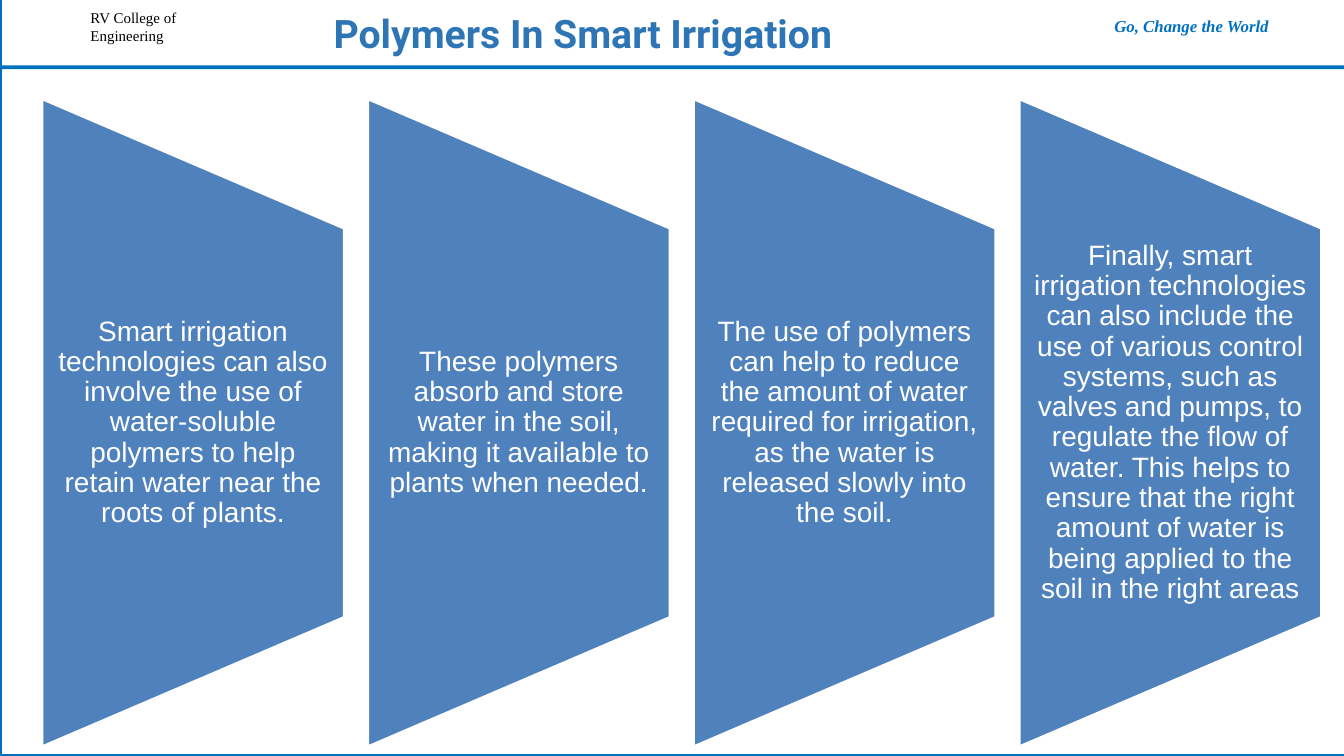
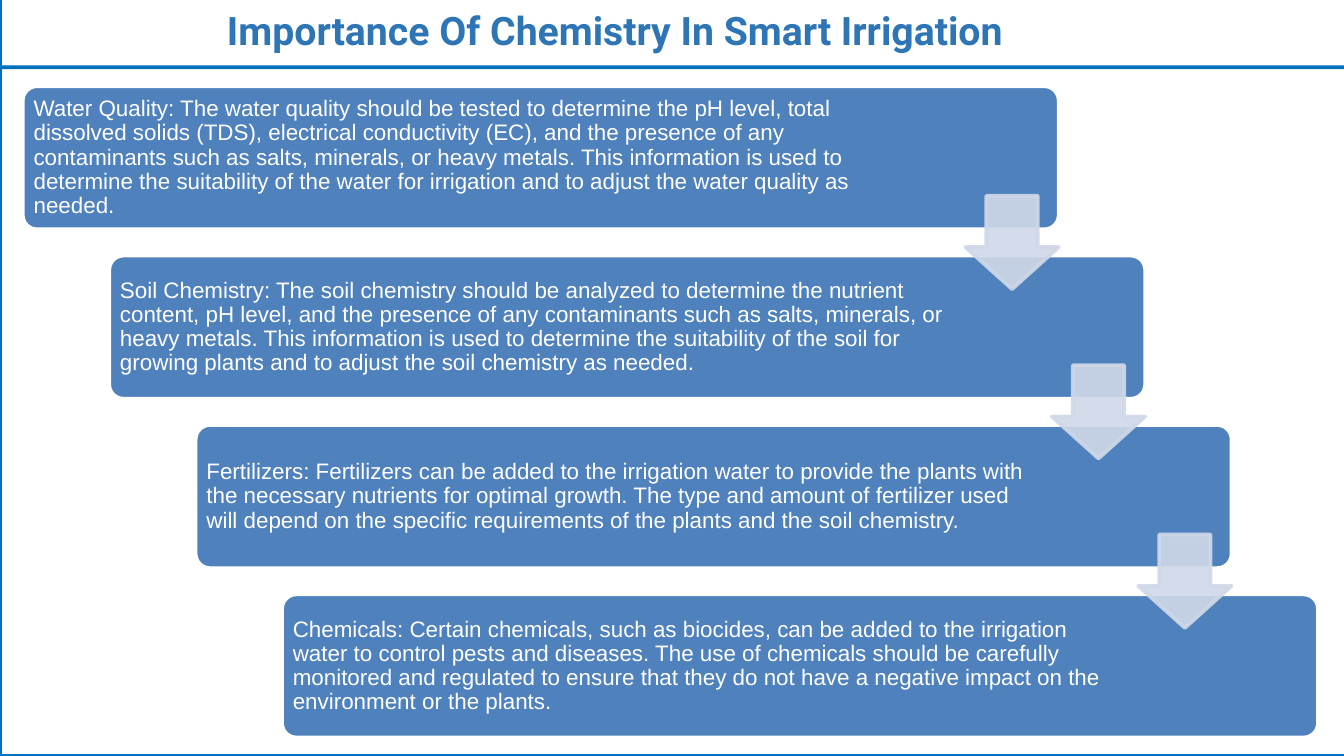
from dataclasses import dataclass

from lxml import etree
from pptx import Presentation
from pptx.dml.color import RGBColor
from pptx.enum import shapes, text
from pptx.oxml.ns import qn
from pptx.util import Pt

SHAPE = shapes.MSO_SHAPE
ANCHOR = text.MSO_ANCHOR
ALIGN = text.PP_ALIGN


@dataclass(frozen=True)
class Theme:
    width: float = 720
    height: float = 405
    frame: str = "0070C0"
    title: str = "2E75B5"
    block: str = "4F81BD"
    arrow: str = "D0D8E8"
    white: str = "FFFFFF"
    black: str = "000000"
    title_font: str = "Roboto"
    body_font: str = "Arial"
    header_font: str = "Times New Roman"
    title_size: float = 21
    panel_size: float = 15
    step_size: float = 12
    college_size: float = 8
    motto_size: float = 9
    line: float = 2


POLYMER_PANELS = [
    "Smart irrigation technologies can also involve the use of water-soluble "
    "polymers to help retain water near the roots of plants.",
    "These polymers absorb and store water in the soil, making it available to "
    "plants when needed.",
    "The use of polymers can help to reduce the amount of water required for "
    "irrigation, as the water is released slowly into the soil.",
    "Finally, smart irrigation technologies can also include the use of various "
    "control systems, such as valves and pumps, to regulate the flow of water. "
    "This helps to ensure that the right amount of water is being applied to the "
    "soil in the right areas",
]

CHEMISTRY_STEPS = [
    "Water Quality: The water quality should be tested to determine the pH level, "
    "total dissolved solids (TDS), electrical conductivity (EC), and the presence "
    "of any contaminants such as salts, minerals, or heavy metals. This "
    "information is used to determine the suitability of the water for irrigation "
    "and to adjust the water quality as needed.",
    "Soil Chemistry: The soil chemistry should be analyzed to determine the "
    "nutrient content, pH level, and the presence of any contaminants such as "
    "salts, minerals, or heavy metals. This information is used to determine the "
    "suitability of the soil for growing plants and to adjust the soil chemistry "
    "as needed.",
    "Fertilizers: Fertilizers can be added to the irrigation water to provide the "
    "plants with the necessary nutrients for optimal growth. The type and amount "
    "of fertilizer used will depend on the specific requirements of the plants "
    "and the soil chemistry.",
    "Chemicals: Certain chemicals, such as biocides, can be added to the "
    "irrigation water to control pests and diseases. The use of chemicals should "
    "be carefully monitored and regulated to ensure that they do not have a "
    "negative impact on the environment or the plants.",
]


def write(tf, content, *, font, size, color, bold=False, italic=False,
          align=ALIGN.LEFT, anchor=ANCHOR.TOP, margins=(0, 0, 0, 0),
          spacing=1.0, after=0):
    """Fill a text frame with one paragraph; margins run left, top, right, bottom."""
    tf.word_wrap = True
    tf.auto_size = text.MSO_AUTO_SIZE.NONE
    tf.vertical_anchor = anchor
    tf.margin_left, tf.margin_top, tf.margin_right, tf.margin_bottom = map(Pt, margins)
    p = tf.paragraphs[0]
    p.alignment = align
    p.line_spacing = spacing
    p.space_after = Pt(after)
    r = p.add_run()
    r.text = content
    r.font.name = font
    r.font.size = Pt(size)
    r.font.bold = bold
    r.font.italic = italic
    r.font.color.rgb = RGBColor.from_string(color)


def set_alpha(sp, percent):
    """Make the solid fill and the line of a shape partly transparent."""
    for clr in sp.element.spPr.iter(qn("a:srgbClr")):
        etree.SubElement(clr, qn("a:alpha")).set("val", str(percent * 1000))


class Deck:
    def __init__(self, theme):
        self.theme = theme
        self.prs = Presentation()
        self.prs.slide_width = Pt(theme.width)
        self.prs.slide_height = Pt(theme.height)
        self.s = None

    def slide(self, title, left, top, width, indent):
        t = self.theme
        self.s = self.prs.slides.add_slide(self.prs.slide_layouts[5])
        self.frame()
        self.shape(SHAPE.RECTANGLE, 0, 35, t.width, 2, t.frame)
        sp = self.s.shapes.title
        sp.left, sp.top, sp.width, sp.height = map(Pt, (left, top, width, 32.4))
        write(sp.text_frame, title, font=t.title_font, size=t.title_size,
              color=t.title, bold=True, margins=(indent, 3.6, 7.2, 3.6))

    def frame(self):
        """Draw the open line along the bottom and left edges."""
        t = self.theme
        fb = self.s.shapes.build_freeform(Pt(t.width), Pt(t.height))
        fb.add_line_segments([(0, Pt(t.height)), (0, 0)], close=False)
        sp = fb.convert_to_shape()
        sp.shadow.inherit = False
        sp.fill.background()
        self.outline(sp, t.frame)

    def outline(self, sp, color):
        sp.line.color.rgb = RGBColor.from_string(color)
        sp.line.width = Pt(self.theme.line)

    def shape(self, kind, left, top, width, height, fill, line=None, adjust=()):
        sp = self.s.shapes.add_shape(kind, *map(Pt, (left, top, width, height)))
        sp.shadow.inherit = False
        sp.fill.solid()
        sp.fill.fore_color.rgb = RGBColor.from_string(fill)
        if line:
            self.outline(sp, line)
        else:
            sp.line.fill.background()
        for i, value in enumerate(adjust):
            sp.adjustments[i] = value
        return sp

    def label(self, content, left, top, width, height, **fmt):
        sp = self.s.shapes.add_textbox(*map(Pt, (left, top, width, height)))
        write(sp.text_frame, content, **fmt)

    def body(self, content, left, top, width, height, size, **fmt):
        t = self.theme
        self.label(content, left, top, width, height, font=t.body_font, size=size,
                   color=t.white, anchor=ANCHOR.MIDDLE, spacing=0.9,
                   after=0.35 * size, **fmt)


def polymers_slide(deck):
    t = deck.theme
    deck.slide("Polymers In Smart Irrigation", 166.3, 1.4, 307.4, 12.4)
    deck.label("RV College of Engineering", 47.8, 3.6, 48.2, 21.6,
               font=t.header_font, size=t.college_size, color=t.black,
               margins=(0.7, 0.7, 0, 0), spacing=1.02)
    deck.label("Go, Change the World", 596.2, 7.9, 85.7, 13,
               font=t.header_font, size=t.motto_size, color=t.frame,
               bold=True, italic=True, margins=(0.7, 0.7, 0, 0))

    left, pitch, middle = 22.2, 174.5, 226.5
    width, length, text_height = 162.5, 348, 209
    for i, content in enumerate(POLYMER_PANELS):
        x = left + i * pitch
        sp = deck.shape(SHAPE.FLOWCHART_MANUAL_OPERATION,
                        x + (width - length) / 2, middle - width / 2,
                        length, width, t.block, t.white)
        sp.rotation = 270
        deck.body(content, x, middle - text_height / 2, width, text_height,
                  t.panel_size, align=ALIGN.CENTER, margins=(7.5, 0, 7.6, 0))


def chemistry_slide(deck):
    t = deck.theme
    deck.slide("Importance Of Chemistry In Smart Irrigation", 72.7, 0, 587.5, 48.9)

    left, top, dx, dy = 12.2, 46.2, 46.3, 90.75
    width, height, pad = 555, 76.7, 2.2
    arrow_side = 50
    for i, content in enumerate(CHEMISTRY_STEPS):
        x, y = left + i * dx, top + i * dy
        deck.shape(SHAPE.ROUNDED_RECTANGLE, x, y, width, height,
                   t.block, t.white, adjust=[0.1])
        deck.body(content, x + pad, y + pad, 454.5 if i else 466,
                  height - 2 * pad, t.step_size, margins=(3.6,) * 4)
    for i in range(len(CHEMISTRY_STEPS) - 1):
        sp = deck.shape(SHAPE.DOWN_ARROW, left + width - arrow_side + i * dx,
                        top + 58.7 + i * dy, arrow_side, arrow_side,
                        t.arrow, t.arrow, adjust=[0.55, 0.45])
        set_alpha(sp, 90)


def main():
    deck = Deck(Theme())
    polymers_slide(deck)
    chemistry_slide(deck)
    deck.prs.save("out.pptx")


if __name__ == "__main__":
    main()
